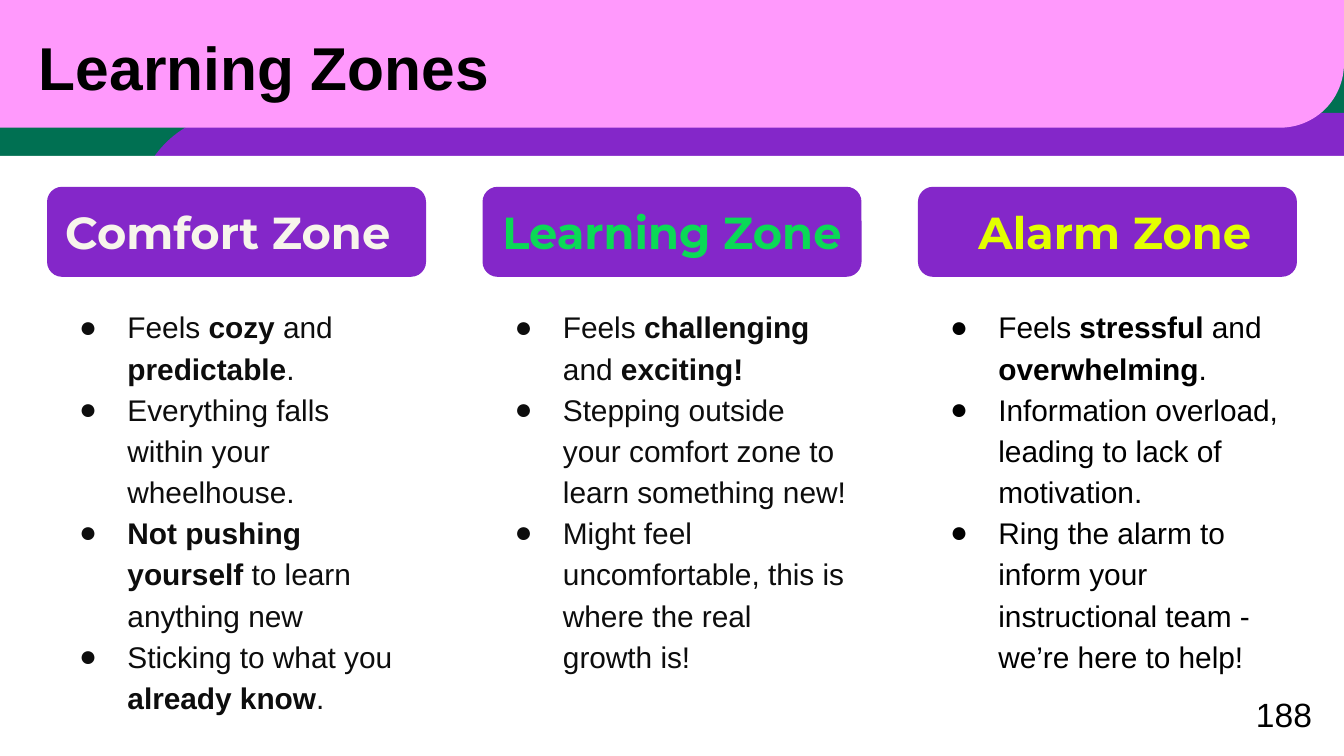
from lxml.etree import SubElement
from pptx import Presentation
from pptx.dml.color import RGBColor
from pptx.enum.shapes import MSO_SHAPE
from pptx.enum.text import MSO_ANCHOR, MSO_AUTO_SIZE, PP_ALIGN
from pptx.oxml.ns import qn
from pptx.util import Inches, Pt

GREEN = RGBColor(0x00, 0x70, 0x52)
PURPLE = RGBColor(0x84, 0x27, 0xC9)
PINK = RGBColor(0xFF, 0x99, 0xFC)
WHITE = RGBColor(0xFF, 0xFF, 0xFF)
BLACK = RGBColor(0x00, 0x00, 0x00)
INK = RGBColor(0x0D, 0x0D, 0x0D)
CREAM = RGBColor(0xF7, 0xF5, 0xEB)
LIME = RGBColor(0x0B, 0xD9, 0x56)
YELLOW = RGBColor(0xE3, 0xFF, 0x00)

ZONES = [
    ("Comfort Zone", CREAM, INK, -0.01, 2.71, [
        "Feels *cozy* and *predictable*.",
        "Everything falls within your wheelhouse.",
        "*Not pushing yourself *to learn anything new",
        "Sticking to what you *already know*.",
    ]),
    ("Learning Zone", LIME, INK, 0, 2.82, [
        "Feels *challenging *and *exciting!*",
        "Stepping outside your comfort zone to learn something new!",
        "Might feel uncomfortable, this is where the real growth is!",
    ]),
    ("Alarm Zone", YELLOW, BLACK, 0.31, 2.31, [
        "Feels *stressful* and *overwhelming*.",
        "Information overload, leading to lack of motivation.",
        "Ring the alarm to inform your instructional team - we’re here to help!",
    ]),
]


def add_panel(slide, kind, box, color, round_by=None, flip=False):
    """Add a plain filled shape, with an optional corner radius and mirroring."""
    panel = slide.shapes.add_shape(kind, *map(Inches, box))
    panel.shadow.inherit = False
    panel.fill.solid()
    panel.fill.fore_color.rgb = color
    panel.line.fill.background()
    if round_by is not None:
        panel.adjustments[0] = round_by
    if flip:
        panel._element.spPr.get_or_add_xfrm().set("flipH", "1")
    return panel


def set_frame(shape, anchor):
    """Give a text shape even margins, wrapping and a fixed size."""
    frame = shape.text_frame
    frame.word_wrap = True
    frame.auto_size = MSO_AUTO_SIZE.NONE
    frame.vertical_anchor = anchor
    frame.margin_left = frame.margin_right = Inches(0.1)
    frame.margin_top = frame.margin_bottom = Inches(0.1)
    return frame


def style_run(run, name, size, color, bold=False):
    """Format one run."""
    run.font.name = name
    run.font.size = Pt(size)
    run.font.color.rgb = color
    run.font.bold = bold


def set_line(shape, box, text, anchor, align, name, size, color, bold=True):
    """Place a shape in a box and fill it with one line of text."""
    shape.left, shape.top, shape.width, shape.height = map(Inches, box)
    frame = set_frame(shape, anchor)
    frame.text = text
    para = frame.paragraphs[0]
    para.alignment = align
    para.space_before = Pt(0)
    style_run(para.runs[0], name, size, color, bold)
    return para


def set_bullet(para, color=None):
    """Give a paragraph a round hanging bullet, or none without a color."""
    props = para._p.get_or_add_pPr()
    props.set("marL", str(Inches(0.5) if color else 0))
    props.set("indent", str(Inches(-0.36) if color else 0))
    if color is None:
        SubElement(props, qn("a:buNone"))
        return
    tint = SubElement(props, qn("a:buClr"))
    SubElement(tint, qn("a:srgbClr")).set("val", str(color))
    SubElement(props, qn("a:buFont")).set("typeface", "Arial")
    SubElement(props, qn("a:buChar")).set("char", "●")


def add_list(slide, box, items, color):
    """Add a bulleted list, with bold words between asterisks."""
    frame = set_frame(slide.shapes.add_textbox(*map(Inches, box)), MSO_ANCHOR.TOP)
    for row, item in enumerate(items):
        para = frame.add_paragraph() if row else frame.paragraphs[0]
        set_bullet(para, color)
        para.line_spacing = 1.15
        for part, text in enumerate(item.split("*")):
            if text:
                run = para.add_run()
                run.text = text
                style_run(run, "Arial", 16, color, part % 2 == 1)


def add_header(slide, title, box):
    """Draw the colored bands and set the title in the header box."""
    left, top, width, height = box
    corner = MSO_SHAPE.ROUND_1_RECTANGLE
    add_panel(slide, corner, (left + 1.01, top + 0.84, width - 1.01, 4.54),
              PURPLE, 0.168, True)
    add_panel(slide, MSO_SHAPE.RECTANGLE, (left, top + 1.16, width, 4.47), WHITE)
    band = add_panel(slide, corner, (left - 0.03, top, width + 0.03, height),
                     PINK, 0.5, True)
    band.rotation = 180
    head = slide.shapes.title
    slide.shapes._spTree.append(head._element)
    set_line(head, (left + 0.19, top + 0.09, 8.9, 0.8), title,
             MSO_ANCHOR.MIDDLE, PP_ALIGN.LEFT, "Arial", 32.4, BLACK)


def add_zone(slide, holder, zone, box):
    """Build one zone column: a card, its heading and its list."""
    text, tint, ink, shift, span, items = zone
    left, top, width, height = box
    add_panel(slide, MSO_SHAPE.ROUNDED_RECTANGLE, (left, top, width, 0.67),
              PURPLE, 0.167)
    slide.shapes._spTree.append(holder._element)
    para = set_line(holder, (left + shift, top + 0.06, span, 0.55), text,
                    MSO_ANCHOR.TOP, PP_ALIGN.CENTER, "Montserrat", 24, tint)
    set_bullet(para)
    para.line_spacing = 0.95
    add_list(slide, (left, top + 0.77, width, height - 0.77), items, ink)


def add_number(slide, text, box):
    """Add the slide number in its box."""
    note = slide.shapes.add_textbox(*map(Inches, box))
    set_line(note, box, text, MSO_ANCHOR.MIDDLE, PP_ALIGN.RIGHT,
             "Arial", 18, BLACK, False)


def main():
    """Build and save the slide."""
    deck = Presentation()
    deck.slide_width = Inches(10)
    deck.slide_height = Inches(10) * 9 // 16
    slide = deck.slides.add_slide(deck.slide_layouts[4])
    slide.background.fill.solid()
    slide.background.fill.fore_color.rgb = GREEN
    *holders, spare = list(slide.placeholders)[1:]
    spare._element.getparent().remove(spare._element)
    add_header(slide, "Learning Zones", (0, 0, 10, 0.95))
    for col, (holder, zone) in enumerate(zip(holders, ZONES)):
        add_zone(slide, holder, zone, (0.35 + 3.24 * col, 1.39, 2.82, 3.96))
    add_number(slide, "188", (9.09, 5.1, 0.77, 0.43))
    deck.save("out.pptx")


if __name__ == "__main__":
    main()
